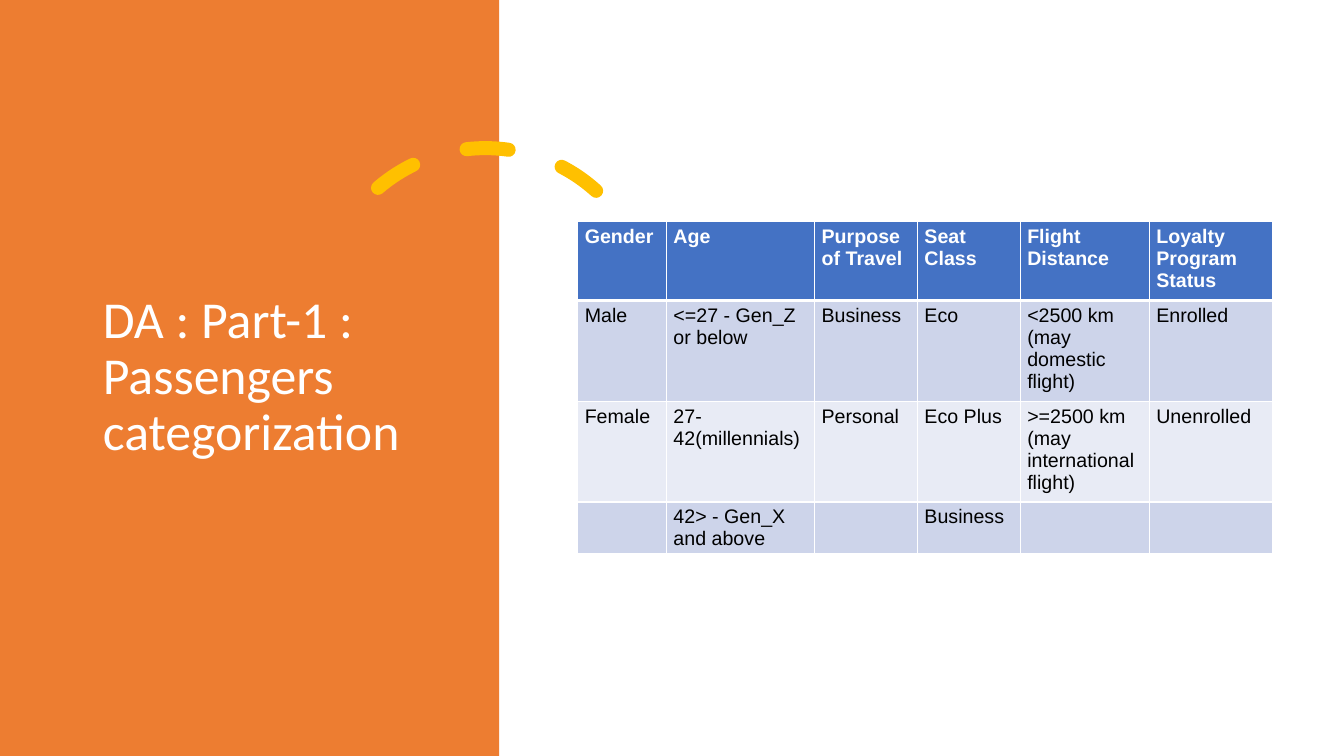
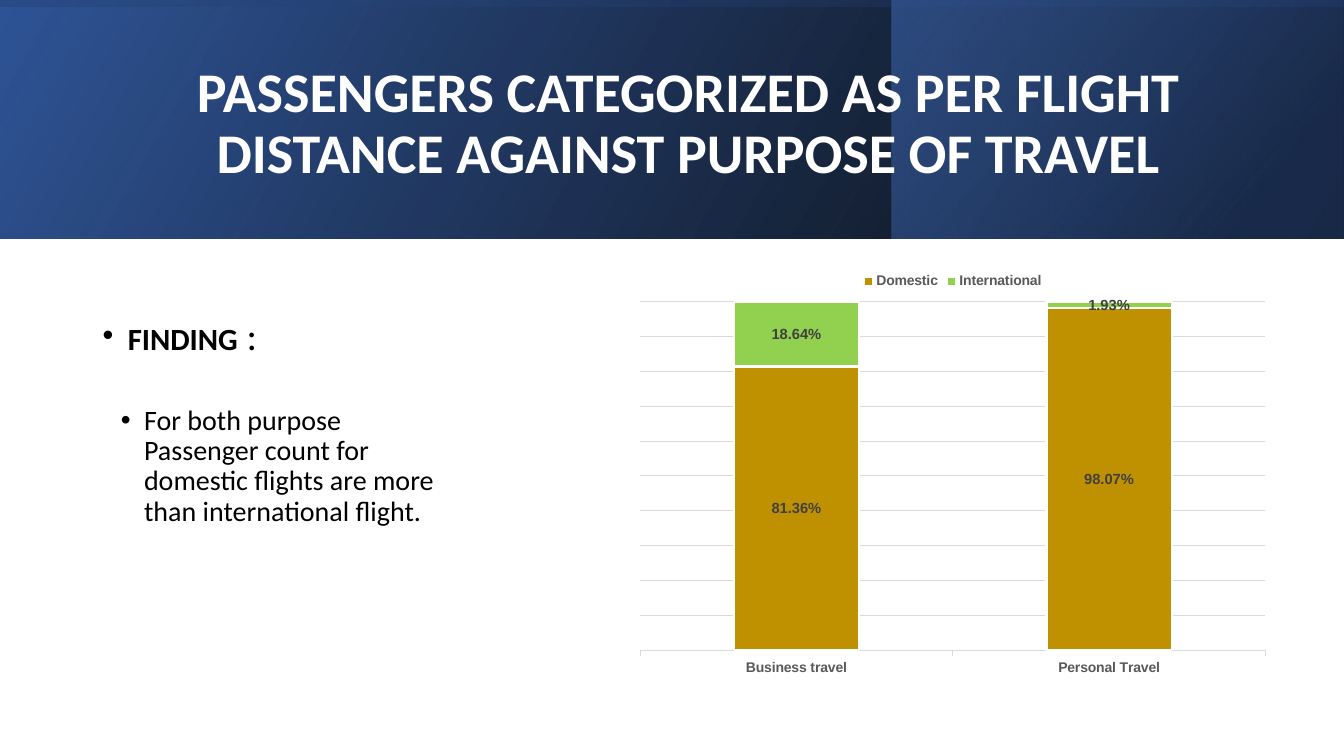
from lxml import etree
from pptx import Presentation
from pptx.chart.data import CategoryChartData
from pptx.dml.color import RGBColor
from pptx.enum.chart import XL_CHART_TYPE as CHART, XL_LABEL_POSITION as LABEL_POS
from pptx.enum.chart import XL_LEGEND_POSITION as LEGEND_POS, XL_TICK_LABEL_POSITION as TICK_POS
from pptx.enum.chart import XL_TICK_MARK as TICK
from pptx.enum.dml import MSO_LINE
from pptx.enum.shapes import MSO_SHAPE as SHAPE
from pptx.enum.text import MSO_ANCHOR as ANCHOR, MSO_AUTO_SIZE as AUTO_SIZE, PP_ALIGN as ALIGN
from pptx.oxml import parse_xml
from pptx.oxml.ns import nsdecls, qn
from pptx.util import Inches, Pt

COLORS = {
    "white": "FFFFFF", "black": "000000", "orange": "ED7D31", "yellow": "FFC000",
    "blue": "4472C4", "mid_blue": "2F5496", "navy": "1F3864",
    "row_dark": "CDD4EA", "row_light": "E8EBF5",
    "gold": "BF9000", "green": "92D050",
    "axis_text": "595959", "label_text": "404040", "grid": "D9D9D9",
}
RGB = {name: RGBColor.from_string(value) for name, value in COLORS.items()}


def style_font(font, size, color, bold=False, face="Calibri"):
    font.name, font.size, font.bold = face, Pt(size), bold
    font.color.rgb = RGB[color]


def add_title_slide(title_text, box, size, bold=False, align=ALIGN.LEFT):
    new_slide = prs.slides.add_slide(prs.slide_layouts[5])
    title = new_slide.shapes.title
    title.left, title.top, title.width, title.height = map(Inches, box)
    frame = title.text_frame
    frame.text = title_text
    frame.word_wrap, frame.auto_size = True, AUTO_SIZE.NONE
    frame.vertical_anchor = ANCHOR.MIDDLE
    heading = frame.paragraphs[0]
    heading.alignment, heading.line_spacing = align, 0.9
    style_font(heading.runs[0].font, size, "white", bold)
    return new_slide, title


prs = Presentation()
prs.slide_width, prs.slide_height = Inches(13.33), Inches(7.5)

# Slide 1: passenger categories
slide, title = add_title_slide("DA : Part-1 : Passengers categorization",
                               (0.92, 0.7, 3.23, 6.09), 37)

# Side panel and dashed arc, with the title kept in front
side_panel = slide.shapes.add_shape(SHAPE.RECTANGLE, 0, 0, Inches(4.95), Inches(7.5))
side_panel.shadow.inherit = False
side_panel.fill.solid()
side_panel.fill.fore_color.rgb = RGB["orange"]
side_panel.line.fill.background()

dashed_arc = slide.shapes.add_shape(SHAPE.ARC, Inches(3.18), Inches(1.47), Inches(3.27), Inches(3.27))
dashed_arc.shadow.inherit = False
dashed_arc.rotation = 345.8
dashed_arc.adjustments[0], dashed_arc.adjustments[1] = 146.129, 0
dashed_arc.fill.background()
dashed_arc.line.color.rgb = RGB["yellow"]
dashed_arc.line.width = Pt(10)
dashed_arc.line.dash_style = MSO_LINE.DASH
dashed_arc.line._get_or_add_ln().set("cap", "rnd")
slide.shapes._spTree.append(title._element)

# Category table
categories = [
    ["Gender", "Age", "Purpose of Travel", "Seat Class", "Flight Distance", "Loyalty Program Status"],
    ["Male", "<=27 - Gen_Z or below", "Business", "Eco", "<2500 km\n(may domestic flight)", "Enrolled"],
    ["Female", "27-42(millennials)", "Personal", "Eco Plus",
     ">=2500 km\n(may international flight)", "Unenrolled"],
    ["", "42> - Gen_X and above", "", "Business", "", ""],
]
row_fills = ["blue", "row_dark", "row_light", "row_dark"]
col_widths = [0.88, 1.47, 1.02, 1.02, 1.28, 1.22]
row_heights = [0.78, 1, 1, 0.33]
table = slide.shapes.add_table(len(categories), len(col_widths), Inches(5.73), Inches(2.2),
                               Inches(sum(col_widths)), Inches(sum(row_heights))).table
table.horz_banding = False
for column, width in zip(table.columns, col_widths):
    column.width = Inches(width)
for r, row_texts in enumerate(categories):
    table.rows[r].height = Inches(row_heights[r])
    for c, cell_text in enumerate(row_texts):
        cell = table.cell(r, c)
        cell.margin_left = cell.margin_right = Inches(0.07)
        cell.margin_top = cell.margin_bottom = Inches(0.04)
        cell.text_frame.text = cell_text
        for paragraph in cell.text_frame.paragraphs:
            for run in paragraph.runs:
                style_font(run.font, 14, "black" if r else "white", r == 0, "Arial")
        # Borders: thin white, heavier on both sides of the header's lower edge
        cell_props = cell._tc.get_or_add_tcPr()
        heavy_side = {0: "lnB", 1: "lnT"}.get(r)
        for side in ("lnL", "lnR", "lnT", "lnB"):
            points = 3 if side == heavy_side else 1
            cell_props.append(parse_xml(
                f'<a:{side} {nsdecls("a")} w="{Pt(points)}"><a:solidFill>'
                f'<a:srgbClr val="{COLORS["white"]}"/></a:solidFill></a:{side}>'))
        cell.fill.solid()
        cell.fill.fore_color.rgb = RGB[row_fills[r]]

# Slide 2: flight distance against purpose of travel
slide, title = add_title_slide(
    "PASSENGERS CATEGORIZED AS PER FLIGHT DISTANCE AGAINST PURPOSE OF TRAVEL",
    (1.51, 0.38, 10.63, 1.72), 40, True, ALIGN.CENTER)

# Header band: box, rotation, gradient angle, stops (position, colour, opacity)
band_layers = [
    ((0, 0, 13.33, 2.37), 0, 330, [(0, "black", 96), (100, "mid_blue", 100)]),
    ((8.84, 0, 4.48, 2.37), 0, 320, [(0, "navy", 68), (19, "navy", 68), (100, "blue", 48)]),
    ((5.48, -5.48, 2.37, 13.33), 270, 350,
     [(0, "mid_blue", 16), (23, "mid_blue", 16), (99, "black", 45), (100, "black", 45)]),
]
for box, rotation, angle, stops in band_layers:
    layer = slide.shapes.add_shape(SHAPE.RECTANGLE, *map(Inches, box))
    layer.shadow.inherit = False
    layer.rotation = rotation
    layer.line.fill.background()
    layer_props = layer._element.spPr
    layer_props.find(qn("a:xfrm")).set("flipH", "1")
    stop_xml = "".join(
        f'<a:gs pos="{position * 1000}"><a:srgbClr val="{COLORS[color]}">'
        f'<a:alpha val="{opacity * 1000}"/></a:srgbClr></a:gs>'
        for position, color, opacity in stops)
    layer_props.find(qn("a:prstGeom")).addnext(parse_xml(
        f'<a:gradFill {nsdecls("a")} rotWithShape="1"><a:gsLst>{stop_xml}</a:gsLst>'
        f'<a:lin ang="{angle * 60000}" scaled="0"/></a:gradFill>'))
slide.shapes._spTree.append(title._element)

# Finding: box, indent, runs (text, size, bold)
findings = [
    ((0.92, 3.09, 3.57, 0.58), 0.25, [("FINDING", 22, True), (" :", 28, False)]),
    ((1.1, 3.98, 3.39, 2.08), 0.23,
     [("For both purpose Passenger count for domestic flights are more than international flight.",
       20, False)]),
]
for box, indent, runs in findings:
    frame = slide.shapes.add_textbox(*map(Inches, box)).text_frame
    frame.word_wrap = True
    bullet = frame.paragraphs[0]
    bullet.line_spacing = 0.9
    for run_text, size, bold in runs:
        run = bullet.add_run()
        run.text = run_text
        style_font(run.font, size, "black", bold)
    bullet_props = bullet._p.get_or_add_pPr()
    bullet_props.set("marL", str(Inches(indent)))
    bullet_props.set("indent", str(-Inches(indent)))
    bullet_color = etree.SubElement(bullet_props, qn("a:buClr"))
    etree.SubElement(bullet_color, qn("a:srgbClr"), val=COLORS["black"])
    etree.SubElement(bullet_props, qn("a:buFont"), typeface="Arial")
    etree.SubElement(bullet_props, qn("a:buChar"), char="•")

# Share of domestic and international flights
shares = CategoryChartData(number_format="0.00%")
shares.categories = ["Business travel", "Personal Travel"]
shares.add_series("Domestic", (0.8136, 0.9807))
shares.add_series("International", (0.1864, 0.0193))
chart = slide.shapes.add_chart(CHART.COLUMN_STACKED_100, Inches(6.22), Inches(2.6),
                               Inches(6.46), Inches(4.19), shares).chart
style_font(chart.font, 10, "black", face="Arial")
chart.has_title = False
chart.has_legend = True
chart.legend.position = LEGEND_POS.TOP
chart.legend.include_in_layout = False
style_font(chart.legend.font, 10, "axis_text", True, "Arial")

purpose_axis = chart.category_axis
purpose_axis.major_tick_mark = TICK.OUTSIDE
purpose_axis.tick_label_position = TICK_POS.LOW
style_font(purpose_axis.tick_labels.font, 10, "axis_text", True, "Arial")
share_axis = chart.value_axis
share_axis.visible = False
share_axis.has_major_gridlines = True
for line in (purpose_axis.format.line, share_axis.major_gridlines.format.line):
    line.color.rgb = RGB["grid"]
    line.width = Pt(0.75)

plot = chart.plots[0]
plot.gap_width, plot.overlap, plot.vary_by_categories = 150, 100, False
for series, color in zip(plot.series, ("gold", "green")):
    series.format.fill.solid()
    series.format.fill.fore_color.rgb = RGB[color]
    series.format.line.color.rgb = RGB["white"]
    series.format.line.width = Pt(1.5)
    labels = series.data_labels
    labels.show_value = True
    labels.position = LABEL_POS.CENTER
    labels.number_format, labels.number_format_is_linked = "0.00%", False
    style_font(labels.font, 10.5, "label_text", True, "Arial")

prs.save("out.pptx")
